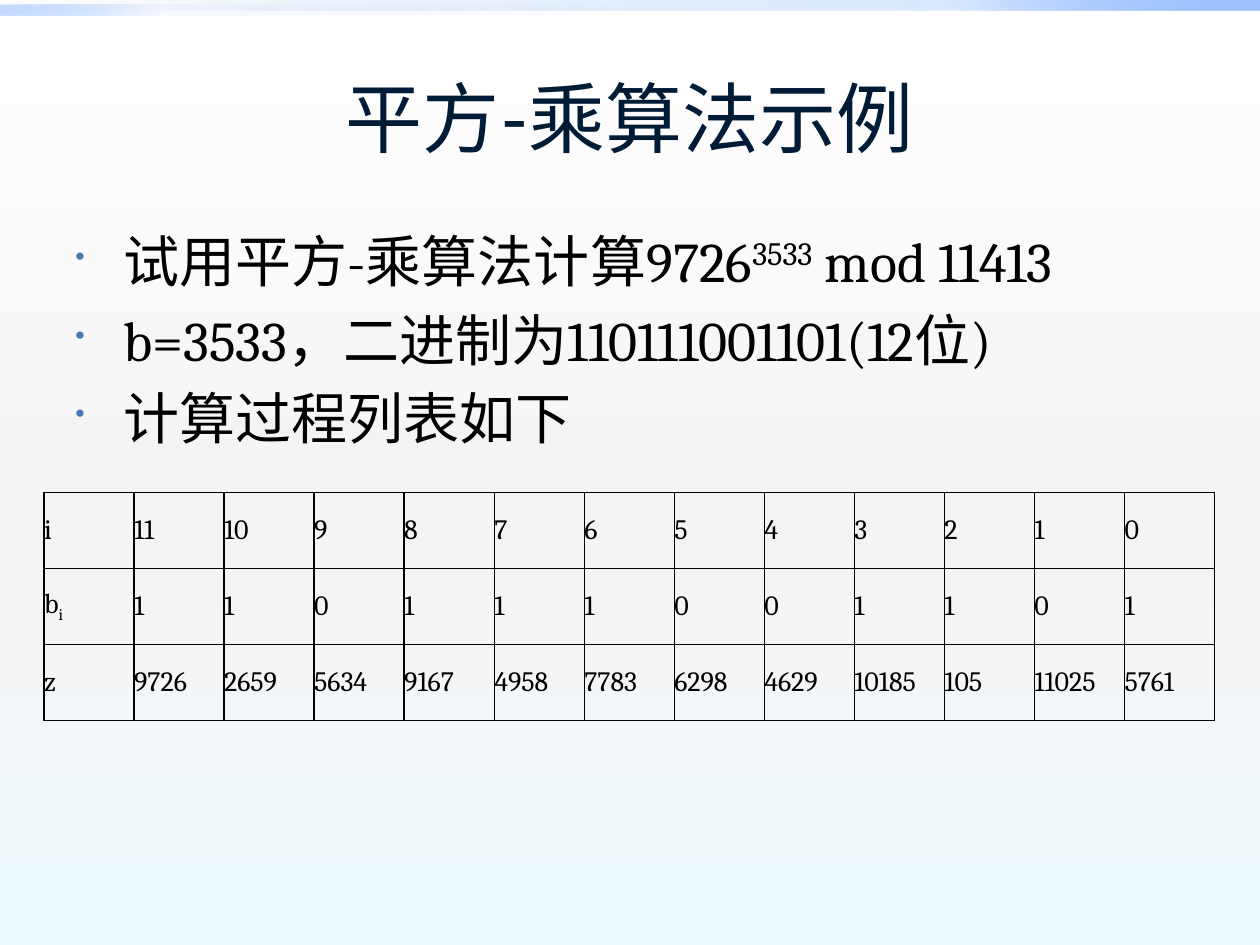
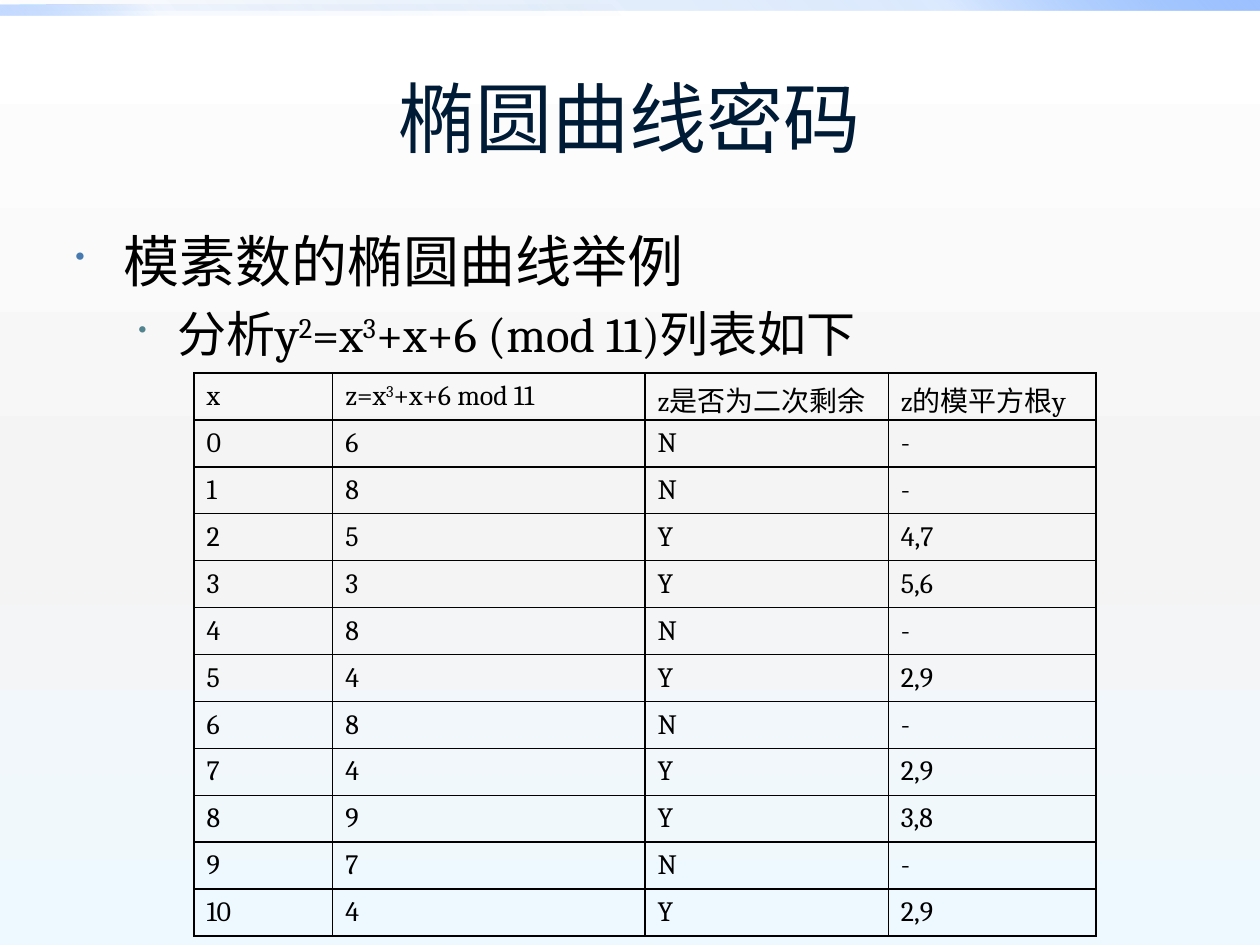
from lxml import etree
from pptx import Presentation
from pptx.dml.color import RGBColor
from pptx.enum.shapes import MSO_SHAPE
from pptx.enum.text import MSO_ANCHOR, PP_ALIGN
from pptx.oxml import parse_xml
from pptx.oxml.ns import nsdecls, qn
from pptx.util import Inches, Pt

RECT = MSO_SHAPE.RECTANGLE
MIDDLE = MSO_ANCHOR.MIDDLE
CENTER = PP_ALIGN.CENTER

BLACK, NAVY = "000000", "001B36"
HEAD, SERIF = "Lato", "Cambria"
SKY = [(0, "FFFFFF", 100), (55, "F4F4F4", 100), (100, "EEF9FF", 100)]
BANDS = [
    ((0, 0, 10, 0.08), [(0, "0058B7", 0), (75, "4F95FF", 20), (100, "9EC2FF", 100)], 315),
    ((0, 0.04, 5, 0.08), [(0, "0058B7", 0), (75, "4F95FF", 5), (100, "9EC2FF", 60)], 135),
]
LEVELS = [(32, 0.38, 0.38, "477AB1"), (28, 0.81, 0.31, "51848E")]
SCRIPTS = {"^": 30000, "_": -25000}


def color(code):
    return RGBColor.from_string(code)


def blend(owner, stops, angle):
    owner.fill.background()
    marks = "".join(
        f'<a:gs pos="{pos * 1000}"><a:srgbClr val="{code}">'
        f'<a:alpha val="{alpha * 1000}"/></a:srgbClr></a:gs>'
        for pos, code, alpha in stops)
    return parse_xml(
        f'<a:gradFill {nsdecls("a")} rotWithShape="1"><a:gsLst>{marks}</a:gsLst>'
        f'<a:lin ang="{angle * 60000}" scaled="0"/></a:gradFill>')


def paint(owner, root, stops, angle):
    grad = blend(owner, stops, angle)
    old = root.find(".//" + qn("a:noFill"))
    old.getparent().replace(old, grad)


def write(para, text, size, face=SERIF, tint=BLACK):
    font = para.font
    font.size, font.name = Pt(size), face
    font.color.rgb = color(tint)
    for part in text.split("|"):
        shift = SCRIPTS.get(part[0])
        run = para.add_run()
        run.text = part[1:] if shift else part
        if shift:
            run._r.get_or_add_rPr().set("baseline", str(shift))


def bullet(para, left, hang, tint):
    props = para._p.get_or_add_pPr()
    props.set("marL", str(Inches(left)))
    props.set("indent", str(-Inches(hang)))
    for xml in (
        '<a:spcBef {}><a:spcPct val="20000"/></a:spcBef>',
        '<a:buClr {}><a:srgbClr val="' + tint + '"/></a:buClr>',
        '<a:buSzPct {} val="50000"/>',
        '<a:buChar {} char="•"/>',
    ):
        props.append(parse_xml(xml.format(nsdecls("a"))))


def add_text(slide, box):
    frame = slide.shapes.add_textbox(*map(Inches, box)).text_frame
    frame.word_wrap = True
    return frame


def add_title(slide, text, box=(0.5, 0.3, 9, 1.25)):
    frame = add_text(slide, box)
    frame.vertical_anchor = MIDDLE
    para = frame.paragraphs[0]
    para.alignment = CENTER
    write(para, text, 44, HEAD, NAVY)


def add_body(slide, lines, box=(0.5, 1.75, 9, 4.95)):
    frame = add_text(slide, box)
    for i, (level, text) in enumerate(lines):
        para = frame.add_paragraph() if i else frame.paragraphs[0]
        size, left, hang, tint = LEVELS[level]
        para.level = level
        bullet(para, left, hang, tint)
        write(para, text, size)


def outline(cell):
    props = cell._tc.get_or_add_tcPr()
    for i, side in enumerate("LRTB"):
        line = etree.Element(qn("a:ln" + side), w=str(Pt(1)))
        fill = etree.SubElement(line, qn("a:solidFill"))
        etree.SubElement(fill, qn("a:srgbClr"), val=BLACK)
        props.insert(i, line)


def add_grid(slide, rows, box, widths, inset):
    shape = slide.shapes.add_table(len(rows), len(widths), *map(Inches, box))
    table = shape.table
    table.first_row = table.horz_banding = False
    for col, width in zip(table.columns, widths):
        col.width = Inches(width)
    for row, texts in zip(table.rows, rows):
        row.height = Inches(box[3] / len(rows))
        for cell, text in zip(row.cells, texts):
            cell.vertical_anchor = MIDDLE
            cell.margin_left = cell.margin_right = Inches(inset)
            cell.fill.background()
            outline(cell)
            write(cell.text_frame.paragraphs[0], text, 16)


def add_page(deck, title, lines):
    slide = deck.slides.add_slide(deck.slide_layouts[6])
    paint(slide.background, slide.element, SKY, 90)
    for box, stops, angle in BANDS:
        band = slide.shapes.add_shape(RECT, *map(Inches, box))
        band.shadow.inherit = False
        paint(band, band.element, stops, angle)
        band.line.fill.background()
    add_title(slide, title)
    add_body(slide, lines)
    return slide


def add_power(deck):
    slide = add_page(deck, "平方-乘算法示例", [
        (0, "试用平方-乘算法计算9726|^3533| mod 11413"),
        (0, "b=3533，二进制为110111001101(12位)"),
        (0, "计算过程列表如下"),
    ])
    rows = [
        ["i", *map(str, range(11, -1, -1))],
        ["b|_i", *"110111001101"],
        "z 9726 2659 5634 9167 4958 7783 6298 4629 10185 105 11025 5761".split(),
    ]
    count = len(rows[0])
    add_grid(slide, rows, (0.35, 3.91, 9.29, 1.81), [9.29 / count] * count, 0)


def add_curve(deck):
    slide = add_page(deck, "椭圆曲线密码", [
        (0, "模素数的椭圆曲线举例"),
        (1, "分析y|^2|=x|^3|+x+6 (mod 11)列表如下"),
    ])
    roots = {"3": "5,6", "4": "2,9", "5": "4,7", "9": "3,8"}
    rows = [["x", "z=x|^3|+x+6 mod 11", "z是否为二次剩余", "z的模平方根y"]]
    for x, z in enumerate("68538484974"):
        rows.append([str(x), z, "Y" if z in roots else "N", roots.get(z, "-")])
    add_grid(slide, rows, (1.54, 2.96, 7.17, 4.47), [1.1, 2.48, 1.93, 1.65], 0.1)


def main():
    deck = Presentation()
    deck.slide_width, deck.slide_height = Inches(10), Inches(7.5)
    add_power(deck)
    add_curve(deck)
    deck.save("out.pptx")


if __name__ == "__main__":
    main()
